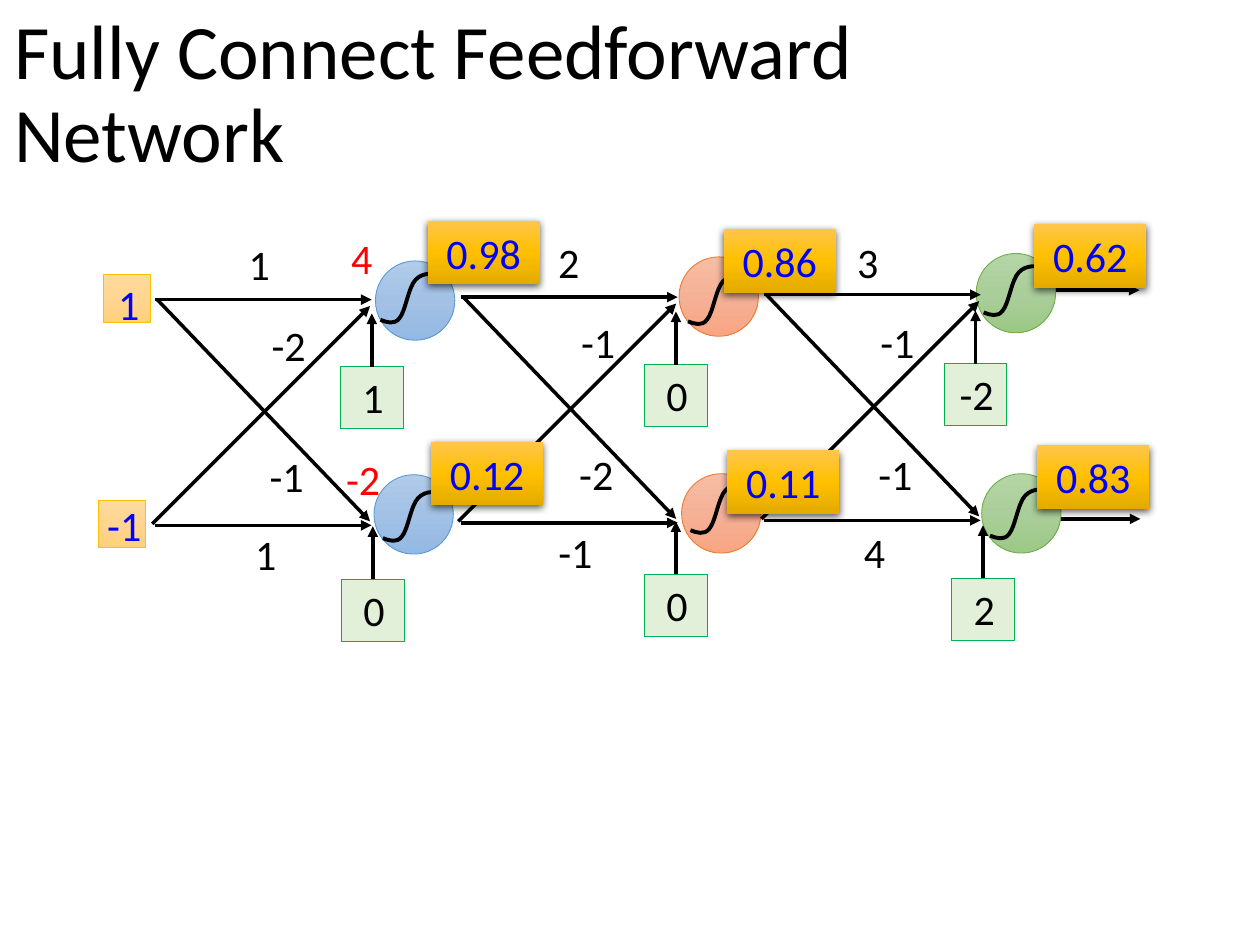
import copy
from dataclasses import dataclass

import pptx
import pptx.dml.color
import pptx.enum.shapes
import pptx.enum.text
import pptx.oxml
import pptx.oxml.ns
import pptx.util

Cm = pptx.util.Cm
Pt = pptx.util.Pt
MSO_SHAPE = pptx.enum.shapes.MSO_SHAPE
MSO_AUTO_SIZE = pptx.enum.text.MSO_AUTO_SIZE
Point = tuple[float, float]

BLACK, RED, BLUE = "000000", "FF0000", "0000FF"
BIAS_FILL, BIAS_LINE = "E2F0D9", "00B050"
INPUT_FILL, INPUT_LINE = ("FFDB9E", "FFD590", "FFD07C"), "FFC000"
ACTIVATION_FILL = ("FFC64B", "FFC000", "E3AB00")

NEURON_SIZE = 1.6
INPUT_SIZE = 0.96
LABEL_HEIGHT = 1.28
BIAS_WIDTH, BIAS_HEIGHT, BIAS_ARROW = 1.27, 1.25, 1.07
ACTIVATION_WIDTH = 2.26

# Offsets from the start of a layer's upper straight synapse.
SYNAPSES = [((0, 4.52), (4.39, 0.13)), ((0.1, 0), (4.39, 4.47)),
            ((0.05, 4.55), (4.42, 4.55)), ((0.05, 0), (4.42, 0))]
# Offsets from a layer's first weight, and widths.
WEIGHT_PLACES = [(0, 0, 0.97), (0.47, 1.62, 1.22), (-0.37, 5.84, 1.98), (0.05, 4.27, 1.98)]
# Bezier control points of the sigmoid, from its right end to its left end.
SIGMOID = [(1.3, 0.03), (1.09, 0), (0.86, -0.03), (0.71, 0.13), (0.56, 0.28),
           (0.51, 0.76), (0.38, 0.91), (0.28, 1.04), (0.13, 0.99), (0, 0.94)]


@dataclass
class Neuron:
    place: Point
    sigmoid: Point
    bias: str
    bias_place: Point
    activation: str
    activation_place: Point


@dataclass
class Layer:
    origin: Point
    fill: tuple[str, str, str]
    line: str
    weights: list[str]
    weight_origin: Point
    neurons: list[Neuron]


@dataclass
class Label:
    text: str
    place: Point
    width: float
    color: str


LAYERS = [
    Layer((3.07, 6.04), ("B1CBE9", "A3C1E5", "93B9E4"), "5B9BD5",
          ["1", "-2", "1", "-1"], (4.74, 4.69), [
        Neuron((7.57, 5.26), (7.67, 5.51), "1", (6.86, 7.39), "0.98", (8.62, 4.45)),
        Neuron((7.54, 9.57), (7.72, 9.91), "0", (6.88, 11.68), "0.12", (8.69, 8.91))]),
    Layer((9.24, 5.99), ("F7BDA5", "F5B196", "F8A582"), "ED7D31",
          ["2", "-1", "-1", "-2"], (10.98, 4.64), [
        Neuron((13.69, 5.18), (13.87, 5.54), "0", (12.99, 7.35), "0.86", (14.59, 4.62)),
        Neuron((13.74, 9.55), (13.92, 9.75), "0", (12.99, 11.58), "0.11", (14.66, 9.08))]),
    Layer((15.35, 5.94), ("B5D5A7", "AACE9A", "9CC987"), "70AD47",
          ["3", "-1", "4", "-1"], (17.01, 4.64), [
        Neuron((19.68, 5.11), (19.83, 5.36), "-2", (19.03, 7.33), "0.62", (20.85, 4.52)),
        Neuron((19.79, 9.55), (19.96, 9.86), "2", (19.18, 11.66), "0.83", (20.91, 8.98))]),
]
INPUT_PLACES = [(2.08, 5.54), (1.98, 10.08)]
INPUT_LABELS = [Label("1", (2.11, 5.49), 0.97, BLUE), Label("-1", (1.83, 9.94), 1.35, BLUE)]
SUM_LABELS = [Label("4", (6.7, 4.56), 1.19, RED), Label("-2", (6.37, 9.02), 1.9, RED)]
OUTPUT_ARROWS = [((21.16, 10.46), (22.99, 10.46)), ((21.16, 5.85), (22.97, 5.85))]


def rgb(value: str) -> pptx.dml.color.RGBColor:
    return pptx.dml.color.RGBColor.from_string(value)


def shift(origin: Point, offset: Point) -> Point:
    return origin[0] + offset[0], origin[1] + offset[1]


def add_effects(shape, content: str = "") -> None:
    """Give the shape its own effect list, empty unless content is passed."""
    shape._element.spPr.append(pptx.oxml.parse_xml(
        f'<a:effectLst {pptx.oxml.ns.nsdecls("a")}>{content}</a:effectLst>'))


def set_gradient(shape, colors: tuple[str, str, str]) -> None:
    """Fill from top to bottom with three evenly spaced colours."""
    shape.fill.gradient()
    stop_list = shape._element.spPr.find(".//" + pptx.oxml.ns.qn("a:gsLst"))
    stop_list.insert(1, copy.deepcopy(stop_list[0]))
    for index, (stop, color) in enumerate(zip(shape.fill.gradient_stops, colors)):
        stop.position = index / 2
        stop.color.rgb = rgb(color)
    shape.fill.gradient_angle = 270


def write(frame, text: str, color: str, size: int = 24,
          align=pptx.enum.text.PP_ALIGN.CENTER) -> None:
    paragraph = frame.paragraphs[0]
    paragraph.alignment = align
    run = paragraph.add_run()
    run.text = text
    for name, value in {"name": "Calibri", "size": Pt(size)}.items():
        setattr(run.font, name, value)
    run.font.color.rgb = rgb(color)


def add_box(slide, kind, place: Point, width: float, height: float,
            fill: str | tuple[str, str, str], line: str | None):
    box = slide.shapes.add_shape(kind, Cm(place[0]), Cm(place[1]), Cm(width), Cm(height))
    box.shadow.inherit = False
    if isinstance(fill, str):
        box.fill.solid()
        box.fill.fore_color.rgb = rgb(fill)
    else:
        set_gradient(box, fill)
    if line:
        box.line.color.rgb = rgb(line)
        box.line.width = Pt(0.5)
    else:
        box.line.fill.background()
    return box


def add_label(slide, label: Label) -> None:
    frame = slide.shapes.add_textbox(Cm(label.place[0]), Cm(label.place[1]),
                                     Cm(label.width), Cm(LABEL_HEIGHT)).text_frame
    frame.word_wrap = True
    frame.auto_size = MSO_AUTO_SIZE.SHAPE_TO_FIT_TEXT
    write(frame, label.text, label.color)


def add_arrow(slide, start: Point, end: Point):
    arrow = slide.shapes.add_connector(pptx.enum.shapes.MSO_CONNECTOR.STRAIGHT,
                                       *(Cm(value) for value in (*start, *end)))
    arrow.line.color.rgb = rgb(BLACK)
    arrow.line.width = Pt(2)
    arrow.line._get_or_add_ln().append(pptx.oxml.parse_xml(
        f'<a:tailEnd {pptx.oxml.ns.nsdecls("a")} type="triangle"/>'))
    add_effects(arrow)
    return arrow


def add_sigmoid(slide, place: Point) -> None:
    """Draw the control points as a freeform, then join each three into a Bezier segment."""
    points = [tuple(Cm(value) for value in shift(place, point)) for point in SIGMOID]
    builder = slide.shapes.build_freeform(*points[0])
    builder.add_line_segments(points[1:], close=False)
    curve = builder.convert_to_shape()
    segments = list(curve._element.iter(pptx.oxml.ns.qn("a:lnTo")))
    for first in range(0, len(segments), 3):
        bezier = pptx.oxml.parse_xml(f'<a:cubicBezTo {pptx.oxml.ns.nsdecls("a")}/>')
        segments[first].addprevious(bezier)
        for segment in segments[first:first + 3]:
            bezier.append(segment[0])
            segment.getparent().remove(segment)
    curve.shadow.inherit = False
    curve.fill.background()
    curve.line.color.rgb = rgb(BLACK)
    curve.line.width = Pt(2.25)


def add_bias(slide, neuron: Neuron) -> None:
    place = neuron.bias_place
    box = add_box(slide, MSO_SHAPE.RECTANGLE, place, BIAS_WIDTH, BIAS_HEIGHT, BIAS_FILL, BIAS_LINE)
    top = shift(place, (BIAS_WIDTH / 2, 0))
    add_arrow(slide, top, shift(top, (0, -BIAS_ARROW))).begin_connect(box, 0)
    add_label(slide, Label(neuron.bias, shift(place, (0.05, -0.02)), 1.22, BLACK))


def add_activation(slide, neuron: Neuron) -> None:
    box = add_box(slide, MSO_SHAPE.RECTANGLE, neuron.activation_place,
                  ACTIVATION_WIDTH, LABEL_HEIGHT, ACTIVATION_FILL, None)
    box.shadow.inherit = True
    add_effects(box, '<a:outerShdw blurRad="57150" dist="19050" dir="5400000" algn="ctr" '
                     'rotWithShape="0"><a:srgbClr val="000000"><a:alpha val="63000"/>'
                     '</a:srgbClr></a:outerShdw>')
    box.text_frame.auto_size = MSO_AUTO_SIZE.SHAPE_TO_FIT_TEXT
    write(box.text_frame, neuron.activation, BLUE)


def add_title(slide, text: str) -> None:
    title = slide.shapes.title
    for name, value in {"left": 0.03, "top": 0.09, "width": 23.14, "height": 3.68}.items():
        setattr(title, name, Cm(value))
    frame = title.text_frame
    for name, value in {"word_wrap": True, "auto_size": MSO_AUTO_SIZE.NONE,
                        "vertical_anchor": pptx.enum.text.MSO_ANCHOR.MIDDLE}.items():
        setattr(frame, name, value)
    write(frame, text, BLACK, 44, pptx.enum.text.PP_ALIGN.LEFT)
    frame.paragraphs[0].line_spacing = 0.9


def main() -> None:
    deck = pptx.Presentation()
    deck.slide_width, deck.slide_height = Cm(25.4), Cm(19.05)
    slide = deck.slides.add_slide(deck.slide_layouts[5])
    add_title(slide, "Fully Connect Feedforward Network")
    neurons = [neuron for layer in LAYERS for neuron in layer.neurons]

    for start, end in OUTPUT_ARROWS:
        add_arrow(slide, start, end)
    for layer in LAYERS:
        for neuron in layer.neurons:
            add_box(slide, MSO_SHAPE.OVAL, neuron.place, NEURON_SIZE, NEURON_SIZE,
                    layer.fill, layer.line)
    for layer in LAYERS:
        for start, end in SYNAPSES:
            add_arrow(slide, shift(layer.origin, start), shift(layer.origin, end))
    for neuron in neurons:
        add_sigmoid(slide, neuron.sigmoid)
    for layer in LAYERS:
        for weight, (x, y, width) in zip(layer.weights, WEIGHT_PLACES):
            add_label(slide, Label(weight, shift(layer.weight_origin, (x, y)), width, BLACK))
    for neuron in neurons:
        add_bias(slide, neuron)
        add_activation(slide, neuron)
    for place in INPUT_PLACES:
        add_box(slide, MSO_SHAPE.RECTANGLE, place, INPUT_SIZE, INPUT_SIZE, INPUT_FILL, INPUT_LINE)
    for label in SUM_LABELS + INPUT_LABELS:
        add_label(slide, label)
    deck.save("out.pptx")


if __name__ == "__main__":
    main()
